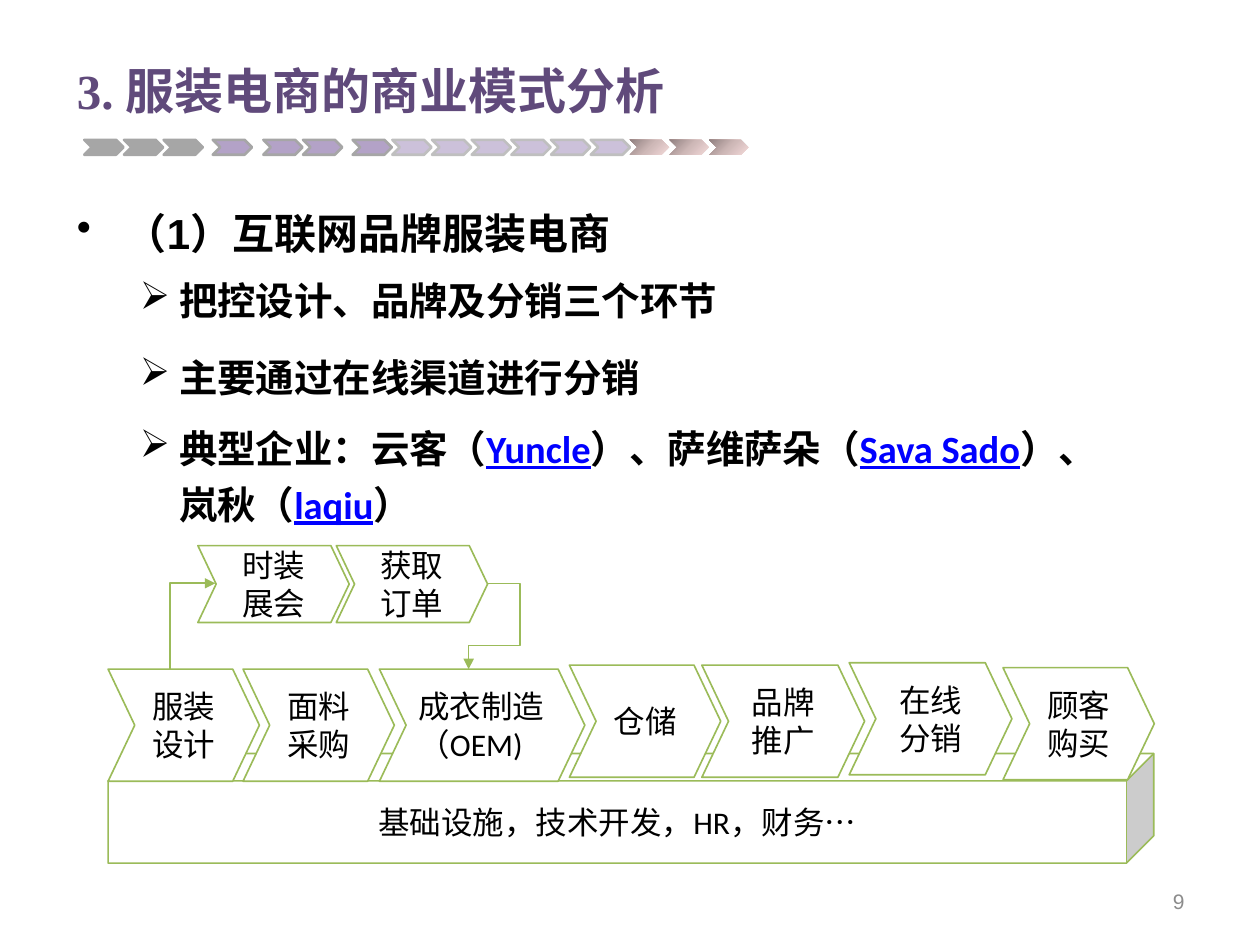
from pptx import Presentation
from pptx.dml.color import RGBColor
from pptx.enum.shapes import MSO_CONNECTOR, MSO_SHAPE
from pptx.enum.text import MSO_ANCHOR, PP_ALIGN
from pptx.oxml import parse_xml
from pptx.oxml.ns import qn
from pptx.util import Cm, Pt
from lxml import etree

CHEVRON, CUBE = MSO_SHAPE.CHEVRON, MSO_SHAPE.CUBE
ELBOW = MSO_CONNECTOR.ELBOW
TOP, MIDDLE = MSO_ANCHOR.TOP, MSO_ANCHOR.MIDDLE
LEFT, CENTER, RIGHT = PP_ALIGN.LEFT, PP_ALIGN.CENTER, PP_ALIGN.RIGHT

THEME = {
    "title": ("Times New Roman", 28, "604A7B", True),
    "head": ("Arial", 24, "000000", True),
    "point": ("Courier New", 22, "000000", True),
    "firm": ("Calibri", 22, "000000", True),
    "step": ("Calibri", 18, "000000", False),
    "page": ("Arial", 12, "8C8C8C", False),
    "link": "0000FF", "white": "FFFFFF", "green": "9BBB59",
    "gray": "A6A6A6", "pale": "BFBFBF",
    "violet": "B3A2C7", "lilac": "CCC1DA",
    "fade": ((0, "918181"), (50, "CEB8B7"), (100, "F4DADA")),
}

# Content; all lengths in cm
TITLE = "3. 服装电商的商业模式分析"
HEAD = "（1）互联网品牌服装电商"
POINTS = ["把控设计、品牌及分销三个环节", "主要通过在线渠道进行分销"]
FIRMS = [("典型企业：云客（", False), ("Yuncle", True), ("）、萨维萨朵（", False),
         ("Sava Sado", True), ("）、岚秋（", False), ("laqiu", True), ("）", False)]
BASE = "基础设施，技术开发，HR，财务…"
PAGE = "9"

# Strip groups: left, count, fill, line
STRIP = [(1.7, 3, "gray", "gray"), (4.29, 1, "violet", "gray"),
         (5.31, 2, "violet", "gray"), (7.11, 1, "violet", "gray"),
         (7.91, 6, "lilac", "pale"), (12.7, 3, "fade", None)]
PITCH = 0.8

# Steps: text, left, top, width, height, alignment
MAIN_H, SIDE_H = 2.26, 1.55
STEPS = [
    ("面料采购", 4.9, 13.49, 3.05, MAIN_H, CENTER),
    ("成衣制造（OEM)", 7.65, 13.49, 4.14, MAIN_H, LEFT),
    ("服装设计", 2.18, 13.49, 3.05, MAIN_H, CENTER),
    ("仓储", 11.48, 13.41, 3.05, MAIN_H, CENTER),
    ("在线分销", 17.12, 13.36, 3.28, MAIN_H, CENTER),
    ("顾客购买", 20.22, 13.46, 3.05, MAIN_H, CENTER),
    ("时装展会", 3.99, 11, 3.05, SIDE_H, CENTER),
    ("品牌推广", 14.15, 13.41, 3.28, MAIN_H, CENTER),
    ("获取订单", 6.78, 11, 3.05, SIDE_H, CENTER),
]

# Arrows: begin and end before rotation, preset, degrees, adjustments
ARROWS = [
    ((4.75, 13.08, 3.02, 12.17), "bentConnector2", 90, []),
    ((9.83, 11.76, 9.45, 13.49), "bentConnector4", 0, [-171400, 72500]),
]


def rgb(name):
    return RGBColor.from_string(THEME[name])


def style(para, role, align=LEFT):
    face, size, color, bold = THEME[role]
    font = para.font
    font.name, font.size, font.bold = face, Pt(size), bold
    font.color.rgb = RGBColor.from_string(color)
    para.alignment = align


def add_box(shapes, place, anchor=TOP):
    frame = shapes.add_textbox(*map(Cm, place)).text_frame
    frame.word_wrap = True
    frame.vertical_anchor = anchor
    return frame


def set_bullet(para, char, left, hang):
    props = para._p.get_or_add_pPr()
    props.set("marL", str(Cm(left)))
    props.set("indent", str(-Cm(hang)))
    mark = etree.Element(qn("a:buChar"), char=char)
    first = props.find(qn("a:defRPr"))
    first.addprevious(mark)


def set_point(para, role):
    style(para, role)
    para.line_spacing = 1.2
    para.space_before = para.space_after = Pt(6)
    set_bullet(para, "➢", 2.06, 0.79)


def add_shape(shapes, kind, place, fill, line, width):
    shape = shapes.add_shape(kind, *map(Cm, place))
    shape.shadow.inherit = False
    if fill == "fade":
        set_fade(shape)
    else:
        shape.fill.solid()
        shape.fill.fore_color.rgb = rgb(fill)
    if line:
        shape.line.color.rgb = rgb(line)
        shape.line.width = Pt(width)
    else:
        shape.line.fill.background()
    return shape


def set_fade(shape):
    stops = "".join(f'<a:gs pos="{pos * 1000}"><a:srgbClr val="{color}"/></a:gs>'
                    for pos, color in THEME["fade"])
    grad = parse_xml(
        '<a:gradFill xmlns:a="http://schemas.openxmlformats.org/drawingml/2006/main">'
        f'<a:gsLst>{stops}</a:gsLst><a:path path="circle">'
        '<a:fillToRect r="100000" b="100000"/></a:path></a:gradFill>')
    shape._element.spPr.find(qn("a:prstGeom")).addnext(grad)


def add_label(shape, text, align):
    frame = shape.text_frame
    frame.word_wrap = True
    frame.vertical_anchor = MIDDLE
    frame.text = text
    style(frame.paragraphs[0], "step", align)


def add_arrow(shapes, ends, preset, turn, adjust):
    arrow = shapes.add_connector(ELBOW, *map(Cm, ends))
    arrow.line.color.rgb = rgb("green")
    arrow.line.width = Pt(0.94)
    props = arrow._element.spPr
    props.find(qn("a:xfrm")).set("rot", str(turn * 60000))
    geom = props.find(qn("a:prstGeom"))
    geom.set("prst", preset)
    for num, value in enumerate(adjust, 1):
        etree.SubElement(geom.find(qn("a:avLst")), qn("a:gd"),
                         name=f"adj{num}", fmla=f"val {value}")
    etree.SubElement(props.find(qn("a:ln")), qn("a:tailEnd"), type="triangle")
    etree.SubElement(props, qn("a:effectLst"))


def main():
    deck = Presentation()
    deck.slide_width, deck.slide_height = Cm(25.4), Cm(19.05)
    shapes = deck.slides.add_slide(deck.slide_layouts[6]).shapes

    # Chevron strip
    for left, count, fill, line in STRIP:
        for num in range(count):
            place = (left + num * PITCH, 2.82, 0.79, 0.3)
            add_shape(shapes, CHEVRON, place, fill, line, 1.5)

    # Title and page number
    for text, place, role, align in [
            (TITLE, (1.3, 0.91, 22.81, 1.8), "title", LEFT),
            (PAGE, (22.71, 17.65, 1.42, 1.02), "page", RIGHT)]:
        frame = add_box(shapes, place, MIDDLE)
        frame.text = text
        style(frame.paragraphs[0], role, align)

    # Heading and points
    frame = add_box(shapes, (1.3, 3.94, 22.81, 6.81))
    frame.text = HEAD
    head = frame.paragraphs[0]
    style(head, "head")
    head.line_spacing, head.space_before = Pt(32), Pt(6)
    set_bullet(head, "•", 0.97, 0.97)
    for text in POINTS:
        para = frame.add_paragraph()
        para.text = text
        set_point(para, "point")

    # Base block and process steps
    cube = add_shape(shapes, CUBE, (2.18, 15.19, 21.08, 2.21), "white", "green", 0.94)
    add_label(cube, BASE, CENTER)
    for text, *place, align in STEPS:
        step = add_shape(shapes, CHEVRON, place, "white", "green", 0.94)
        step.adjustments[0] = 0.238
        add_label(step, text, align)
    for arrow in ARROWS:
        add_arrow(shapes, *arrow)

    # Example firms
    para = add_box(shapes, (1.3, 8.26, 21.41, 2.51)).paragraphs[0]
    set_point(para, "firm")
    for text, linked in FIRMS:
        run = para.add_run()
        run.text = text
        if linked:
            run.font.underline = True
            run.font.color.rgb = rgb("link")

    deck.save("out.pptx")


if __name__ == "__main__":
    main()
